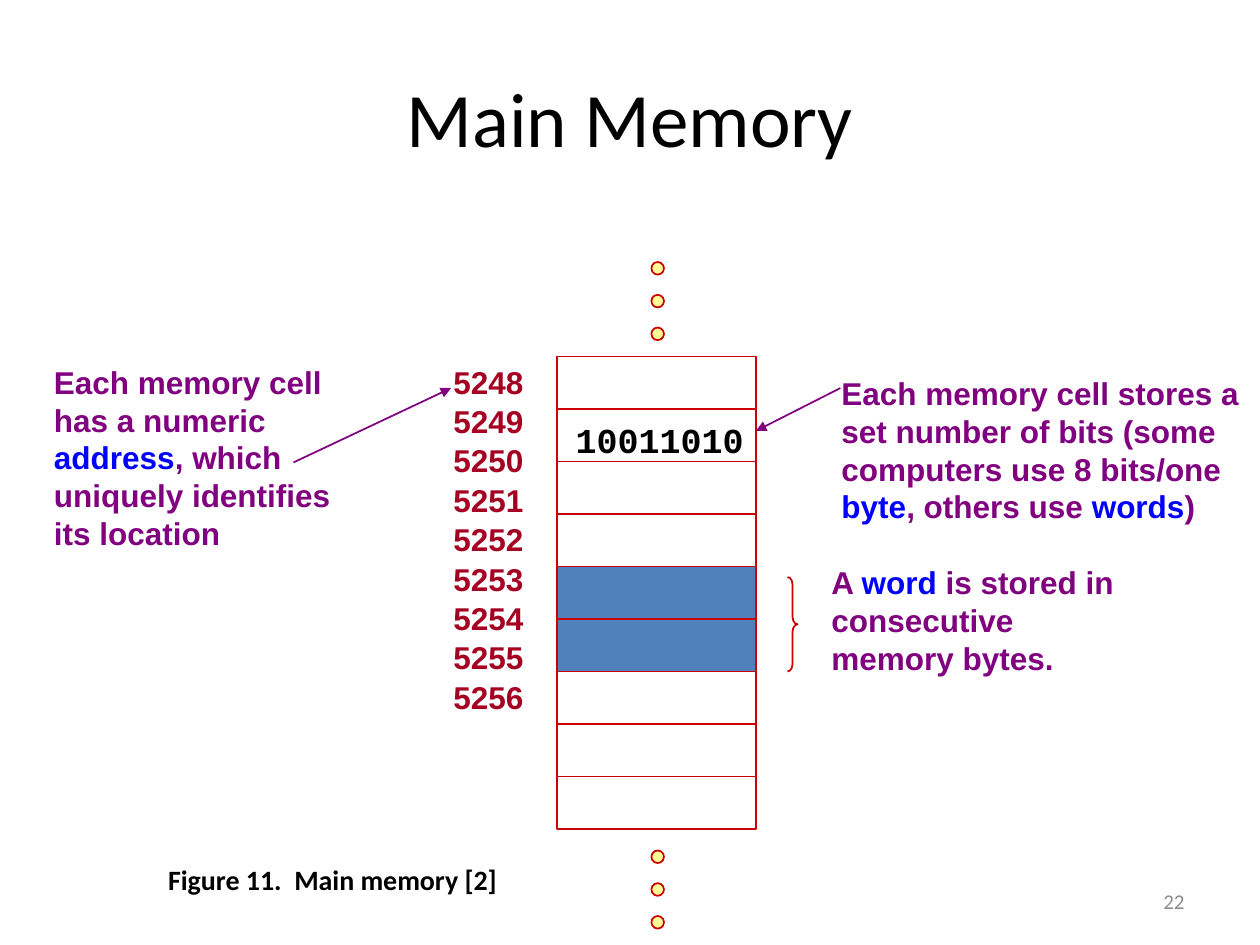
from dataclasses import dataclass

from lxml.etree import SubElement
from pptx import Presentation
from pptx.dml.color import RGBColor as Color
from pptx.enum.shapes import MSO_CONNECTOR as Connector, MSO_SHAPE as Shape
from pptx.enum.text import MSO_ANCHOR as Anchor, PP_ALIGN as Align
from pptx.oxml.ns import qn
from pptx.util import Inches, Pt


@dataclass(frozen=True)
class Theme:
    ink: str = "000000"
    note: str = "800080"
    keyword: str = "0000FF"
    address: str = "A50021"
    outline: str = "CC0000"
    dot: str = "FFFF99"
    word: str = "4F81BD"
    number: str = "8C8C8C"
    title_size: int = 44
    bits_size: int = 20
    body_size: int = 18
    caption_size: int = 16
    number_size: int = 12
    sans: str = "Arial"
    heading: str = "Calibri"
    mono: str = "Courier New"


THEME = Theme()
CELL_LEFT, CELL_TOP, CELL_WIDTH = 4.42, 2.83, 1.58
CELL_COUNT = 9
CELL_HEIGHT = 3.75 / CELL_COUNT
WORD_CELLS = (4, 5)
FIRST_ADDRESS = 5248
DOT_SIZE, DOT_STEP = 0.1, 0.26


def inches(*lengths):
    return [Inches(length) for length in lengths]


def write(frame, text, size=THEME.body_size, font=THEME.sans, color=THEME.note,
          bold=True, align=Align.LEFT, gap=0):
    """Text between asterisks takes the keyword colour."""
    for index, line in enumerate(text.split("\n")):
        para = frame.paragraphs[0] if index == 0 else frame.add_paragraph()
        para.alignment = align
        para.space_before = Pt(gap if index else 0)
        for part, words in enumerate(line.split("*")):
            if not words:
                continue
            span = para.add_run()
            span.text = words
            span.font.name = font
            span.font.size = Pt(size)
            span.font.bold = bold
            span.font.color.rgb = Color.from_string(THEME.keyword if part % 2 else color)


def add_text(page, place, text, anchor=Anchor.TOP, **style):
    frame = page.shapes.add_textbox(*inches(*place)).text_frame
    frame.word_wrap = True
    frame.vertical_anchor = anchor
    write(frame, text, **style)


def add_outlined(page, kind, place, fill=None):
    shape = page.shapes.add_shape(kind, *inches(*place))
    shape.shadow.inherit = False
    if fill:
        shape.fill.solid()
        shape.fill.fore_color.rgb = Color.from_string(fill)
    else:
        shape.fill.background()
    shape.line.color.rgb = Color.from_string(THEME.outline)
    shape.line.width = Pt(1)
    return shape


def add_arrow(page, start, end):
    arrow = page.shapes.add_connector(Connector.STRAIGHT, *inches(*start, *end))
    arrow.line.color.rgb = Color.from_string(THEME.note)
    arrow.line.width = Pt(1)
    properties = arrow._element.spPr
    SubElement(properties.find(qn("a:ln")), qn("a:tailEnd"), type="triangle")
    SubElement(properties, qn("a:effectLst"))


def add_title(page, text):
    title = page.shapes.title
    title.left, title.top, title.width, title.height = inches(0.5, 0.3, 9, 1.25)
    title.text_frame.vertical_anchor = Anchor.MIDDLE
    write(title.text_frame, text, size=THEME.title_size, font=THEME.heading,
          color=THEME.ink, bold=False, align=Align.CENTER)


def add_dots(page, top):
    for index in range(3):
        add_outlined(page, Shape.OVAL,
                     (5.17, top + index * DOT_STEP, DOT_SIZE, DOT_SIZE), THEME.dot)


def add_cells(page):
    for index in range(CELL_COUNT):
        place = (CELL_LEFT, CELL_TOP + index * CELL_HEIGHT, CELL_WIDTH, CELL_HEIGHT)
        add_outlined(page, Shape.RECTANGLE, place,
                     THEME.word if index in WORD_CELLS else None)


def add_memory(page):
    add_dots(page, 2.08)
    add_cells(page)
    add_dots(page, 6.75)
    addresses = range(FIRST_ADDRESS, FIRST_ADDRESS + CELL_COUNT)
    add_text(page, (3.5, CELL_TOP, 0.94, 3.86), "\n".join(map(str, addresses)),
             color=THEME.address, gap=0.9)
    add_text(page, (4.47, 3.27, 1.6, 0.43), "10011010",
             size=THEME.bits_size, font=THEME.mono, color=THEME.ink)


def add_notes(page):
    add_text(page, (0.33, CELL_TOP, 2.75, 1.6),
             "Each memory cell has a numeric *address*, which uniquely identifies its location")
    add_arrow(page, (2.33, 3.67), (3.58, 3.08))
    add_text(page, (6.58, 2.92, 3.42, 1.3),
             "Each memory cell stores a set number of bits (some computers use "
             "8 bits/one *byte*, others use *words*)")
    add_arrow(page, (6.67, 3.08), (6, 3.42))
    add_text(page, (6.5, 4.42, 2.52, 1),
             "A *word* is stored in\nconsecutive\nmemory bytes.")
    brace = add_outlined(page, Shape.RIGHT_BRACE, (6.25, 4.58, 0.08, 0.75))
    brace.adjustments[0] = 0.75
    brace.adjustments[1] = 0.5


def add_footer(page):
    add_text(page, (0.33, 6.8, 4.62, 0.37), "Figure 11.  Main memory [2]",
             size=THEME.caption_size, font=THEME.heading, color=THEME.ink,
             align=Align.CENTER)
    add_text(page, (7.17, 6.95, 2.33, 0.4), "22", anchor=Anchor.MIDDLE,
             size=THEME.number_size, font=THEME.heading, color=THEME.number,
             bold=False, align=Align.RIGHT)


def main():
    deck = Presentation()
    deck.slide_width, deck.slide_height = inches(10, 7.5)
    page = deck.slides.add_slide(deck.slide_layouts.get_by_name("Title Only"))
    add_title(page, "Main Memory")
    add_memory(page)
    add_notes(page)
    add_footer(page)
    deck.save("out.pptx")


if __name__ == "__main__":
    main()
